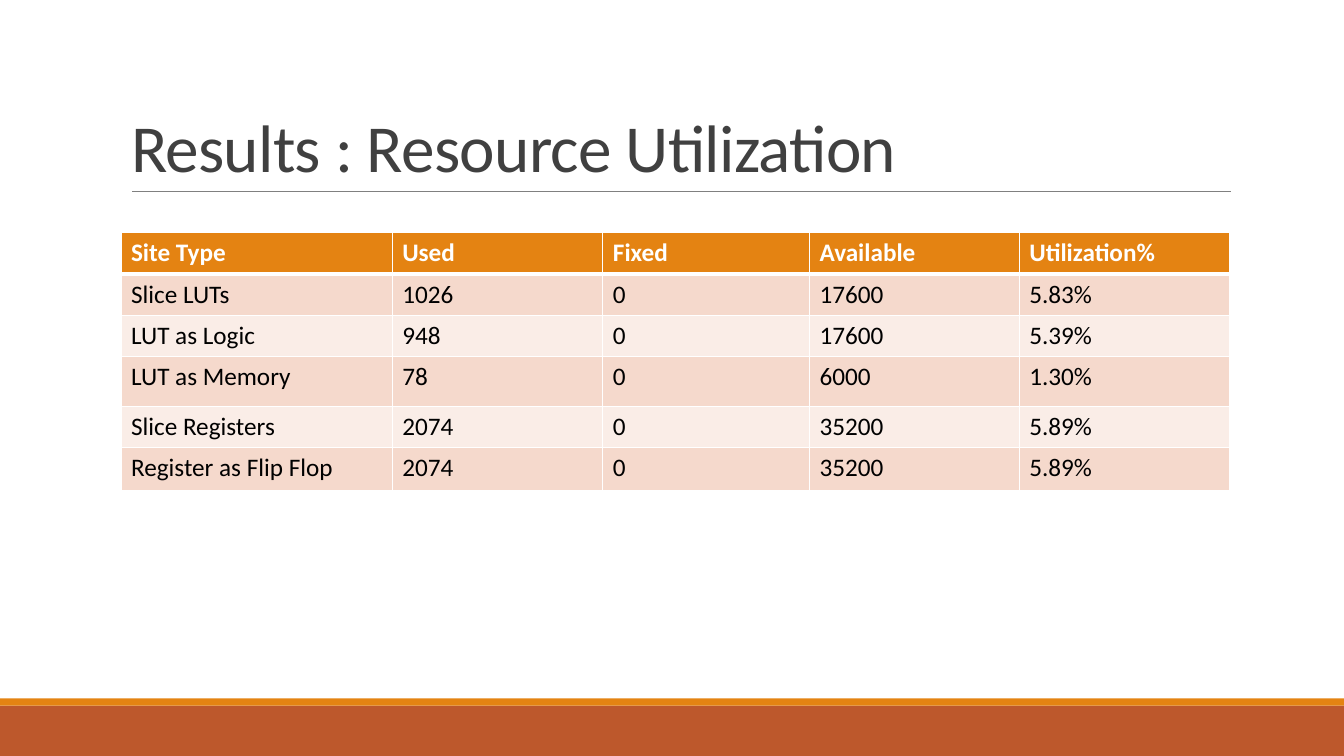
"""Build the resource utilization results slide."""
from pptx import Presentation
from pptx.dml.color import RGBColor
from pptx.enum.shapes import MSO_CONNECTOR, MSO_SHAPE
from pptx.enum.text import MSO_ANCHOR, MSO_AUTO_SIZE, PP_ALIGN
from pptx.oxml.ns import qn
from pptx.util import Inches, Pt
from lxml import etree

RECTANGLE = MSO_SHAPE.RECTANGLE
STRAIGHT = MSO_CONNECTOR.STRAIGHT
BOTTOM = MSO_ANCHOR.BOTTOM
NO_AUTOFIT = MSO_AUTO_SIZE.NONE
LEFT = PP_ALIGN.LEFT
TITLE_ONLY = 5

FONT = "Calibri"
COLORS = {
    "footer": "BD582C",
    "accent": "E48312",
    "rule": "808080",
    "title": "404040",
    "white": "FFFFFF",
    "black": "000000",
    "odd_row": "F5D9CC",
    "even_row": "FAEDE7",
}
COLUMN_WIDTHS = [2.69, 2.09, 2.05, 2.08, 2.09]
ROW_HEIGHTS = [0.41, 0.41, 0.41, 0.49, 0.41, 0.43]
UTILIZATION = [
    ["Site Type", "Used", "Fixed", "Available", "Utilization%"],
    ["Slice LUTs", "1026", "0", "17600", "5.83%"],
    ["LUT as Logic", "948", "0", "17600", "5.39%"],
    ["LUT as Memory", "78", "0", "6000", "1.30%"],
    ["Slice Registers", "2074", "0", "35200", "5.89%"],
    ["Register as Flip Flop", "2074", "0", "35200", "5.89%"],
]


def rgb(name):
    return RGBColor.from_string(COLORS[name])


def apply_format(target, values):
    for attribute, value in values.items():
        setattr(target, attribute, value)


def format_font(font, size, color, bold=False):
    apply_format(font, {"name": FONT, "size": Pt(size), "bold": bold})
    font.color.rgb = rgb(color)


def add_band(slide, top, height, color):
    band = slide.shapes.add_shape(
        RECTANGLE, 0, Inches(top), Inches(13.33), Inches(height))
    band.shadow.inherit = False
    band.fill.solid()
    band.fill.fore_color.rgb = rgb(color)
    band.line.fill.background()


def add_rule(slide, left, right, top):
    rule = slide.shapes.add_connector(
        STRAIGHT, Inches(left), Inches(top), Inches(right), Inches(top))
    rule.line.color.rgb = rgb("rule")
    rule.line.width = Pt(0.5)
    etree.SubElement(rule._element.spPr, qn("a:effectLst"))


def fill_title(slide, text):
    title = slide.shapes.title
    apply_format(title, {"left": Inches(1.2), "top": Inches(0.31),
                         "width": Inches(11), "height": Inches(1.59)})
    frame = title.text_frame
    frame.text = text
    apply_format(frame, {"vertical_anchor": BOTTOM, "word_wrap": True,
                         "auto_size": NO_AUTOFIT})
    heading = frame.paragraphs[0]
    apply_format(heading, {"alignment": LEFT, "line_spacing": 0.85})
    format_font(heading.runs[0].font, 48, "title")
    heading.runs[0]._r.get_or_add_rPr().set("spc", "-50")


def add_borders(cell, widths):
    properties = cell._tc.get_or_add_tcPr()
    for side, width in widths.items():
        border = etree.SubElement(properties, qn(f"a:ln{side}"), w=str(Pt(width)))
        fill = etree.SubElement(border, qn("a:solidFill"))
        etree.SubElement(fill, qn("a:srgbClr"), val=COLORS["white"])


def fill_cell(cell, text, row):
    is_header = row == 0
    add_borders(cell, {"L": 1, "R": 1, "T": 3 if row == 1 else 1,
                       "B": 3 if is_header else 1})
    cell.fill.solid()
    row_color = "odd_row" if row % 2 else "even_row"
    cell.fill.fore_color.rgb = rgb("accent" if is_header else row_color)
    cell.text = text
    format_font(cell.text_frame.paragraphs[0].runs[0].font, 18,
                "white" if is_header else "black", is_header)


def add_utilization_table(slide):
    table = slide.shapes.add_table(
        len(ROW_HEIGHTS), len(COLUMN_WIDTHS), Inches(1.2), Inches(2.31),
        Inches(sum(COLUMN_WIDTHS)), Inches(sum(ROW_HEIGHTS))).table
    for column, width in zip(table.columns, COLUMN_WIDTHS):
        column.width = Inches(width)
    for row, height in zip(table.rows, ROW_HEIGHTS):
        row.height = Inches(height)
    for row, texts in enumerate(UTILIZATION):
        for column, text in enumerate(texts):
            fill_cell(table.cell(row, column), text, row)


def main():
    deck = Presentation()
    apply_format(deck, {"slide_width": Inches(13.33), "slide_height": Inches(7.5)})
    slide = deck.slides.add_slide(deck.slide_layouts[TITLE_ONLY])
    add_band(slide, 7, 0.5, "footer")
    add_band(slide, 6.93, 0.07, "accent")
    add_rule(slide, 1.31, 12.21, 1.9)
    fill_title(slide, "Results : Resource Utilization")
    add_utilization_table(slide)
    deck.save("out.pptx")


if __name__ == "__main__":
    main()
